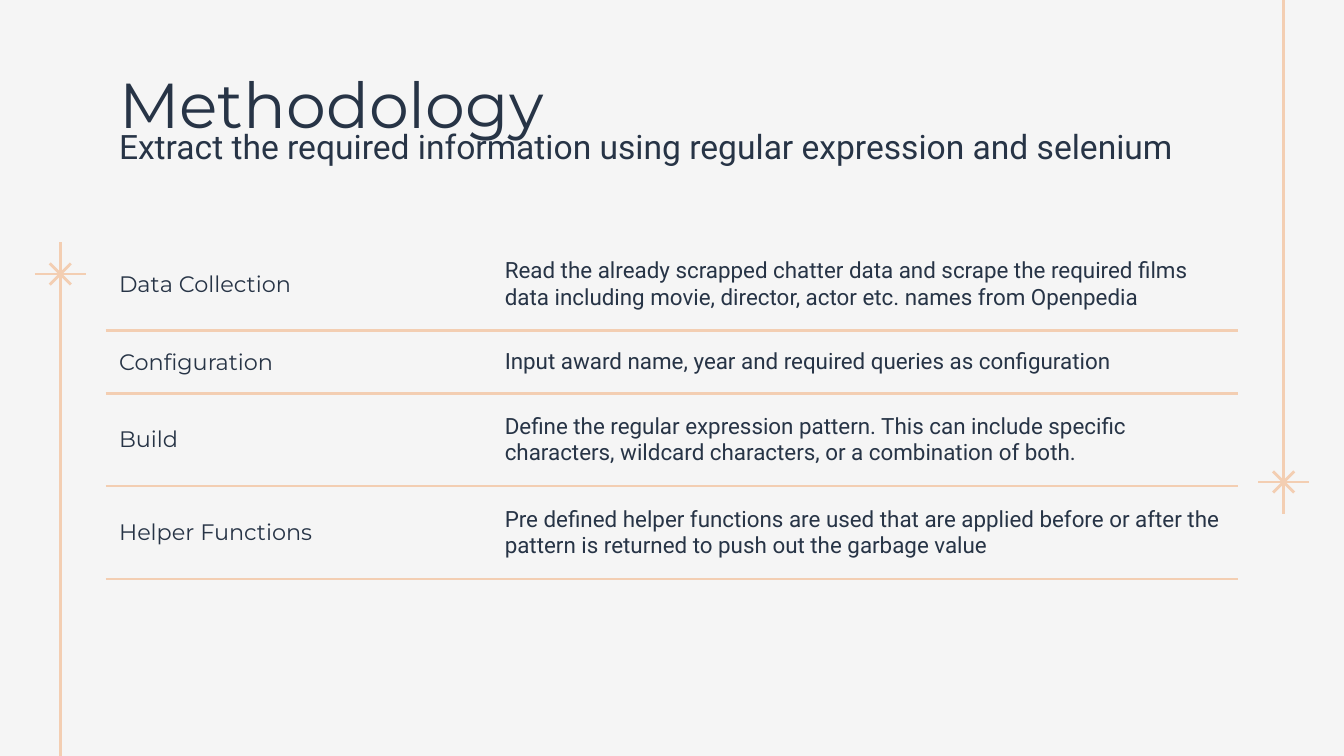
from lxml import etree
from pptx import Presentation
from pptx.dml.color import RGBColor
from pptx.enum import shapes, text
from pptx.oxml import ns
from pptx.util import Cm, Pt

INK, PEACH, PAPER = "273446", "F3CEB2", "F5F5F5"
HEAD, BODY = "Montserrat", "Roboto"
WIDE, HIGH = 25.4, 14.29
PAD = 0.25

STEPS = [
    ("Data Collection",
     "Read the already scrapped chatter data and scrape the required films "
     "data including movie, director, actor etc. names from Openpedia"),
    ("Configuration",
     "Input award name, year and required queries as configuration"),
    ("Build",
     "Define the regular expression pattern. This can include specific "
     "characters, wildcard characters, or a combination of both."),
    ("Helper Functions",
     "Pre defined helper functions are used that are applied before or after "
     "the pattern is returned to push out the garbage value"),
    ("", ""),
]


def color(code):
    return RGBColor.from_string(code)


def style(para, size, face):
    para.font.size = Pt(size)
    para.font.name = face
    para.font.color.rgb = color(INK)


def add_line(slide, *ends):
    line = slide.shapes.add_connector(
        shapes.MSO_CONNECTOR.STRAIGHT, *[Cm(v) for v in ends])
    line.line.color.rgb = color(PEACH)
    line.line.width = Pt(1.5)
    etree.SubElement(line._element.spPr, ns.qn("a:effectLst"))


def add_star(slide, x, tip, end):
    """A stem from tip to end, with a star on it close to the tip."""
    y = tip + (0.61 if end > tip else -0.61)
    arm, ray = 0.48, 0.2
    add_line(slide, x, end, x, tip)
    add_line(slide, x - arm, y, x + arm, y)
    for side in (-ray, ray):
        add_line(slide, x - side, y - ray, x + side, y + ray)


def add_text(slide, box, words, size, face, anchor):
    frame = slide.shapes.add_textbox(*[Cm(v) for v in box]).text_frame
    frame.word_wrap = True
    frame.vertical_anchor = anchor
    frame.margin_left = frame.margin_right = Cm(PAD)
    frame.margin_top = frame.margin_bottom = Cm(PAD)
    para = frame.paragraphs[0]
    para.text = words
    style(para, size, face)
    return para


def add_header(slide, x, y, w):
    title = add_text(slide, (x, y, w, 1.6), "Methodology", 34, HEAD,
                     text.MSO_ANCHOR.MIDDLE)
    title.line_spacing = 0.9
    add_text(slide, (x, y + 0.89, w, 2.34),
             "Extract the required information using regular expression "
             "and selenium", 18, BODY, text.MSO_ANCHOR.TOP)


def set_edges(cell, top, bottom):
    """Rule the top and bottom edges as asked, and clear the sides."""
    props = cell._tc.get_or_add_tcPr()
    edges = [("L", False), ("R", False), ("T", top), ("B", bottom)]
    for i, (side, drawn) in enumerate(edges):
        edge = etree.Element(ns.qn("a:ln" + side), w=str(Pt(1.5)))
        if drawn:
            fill = etree.SubElement(edge, ns.qn("a:solidFill"))
            etree.SubElement(fill, ns.qn("a:srgbClr"), val=PEACH)
        else:
            etree.SubElement(edge, ns.qn("a:noFill"))
        props.insert(i, edge)


def add_steps(slide, x, y, w):
    tall, low = 1.75, 1.19
    rows = [tall, low, tall, tall, low]
    frame = slide.shapes.add_table(
        len(rows), 2, Cm(x), Cm(y), Cm(w), Cm(sum(rows)))
    table = frame.table
    table.first_row = table.horz_banding = False
    table.columns[0].width = Cm(7.29)
    table.columns[1].width = Cm(w - 7.29)
    last = len(rows) - 1
    for r, (high, step) in enumerate(zip(rows, STEPS)):
        table.rows[r].height = Cm(high)
        for c, (words, face) in enumerate(zip(step, (HEAD, BODY))):
            cell = table.cell(r, c)
            cell.text = words
            cell.vertical_anchor = text.MSO_ANCHOR.MIDDLE
            cell.margin_left = cell.margin_right = Cm(PAD)
            cell.margin_top = cell.margin_bottom = Cm(PAD)
            cell.fill.background()
            style(cell.text_frame.paragraphs[0], 12, face)
            set_edges(cell, r > 0, r < last)


def main():
    deck = Presentation()
    deck.slide_width, deck.slide_height = Cm(WIDE), Cm(HIGH)
    slide = deck.slides.add_slide(deck.slide_layouts[6])
    slide.background.fill.solid()
    slide.background.fill.fore_color.rgb = color(PAPER)

    side, stem, edge = 1.14, 9.72, 2.0
    add_star(slide, side, HIGH - stem, HIGH)
    add_star(slide, WIDE - side, stem, 0)
    add_header(slide, edge, 1.24, WIDE - 2 * edge)
    add_steps(slide, edge, 4.5, WIDE - 2 * edge)
    deck.save("out.pptx")


if __name__ == "__main__":
    main()
